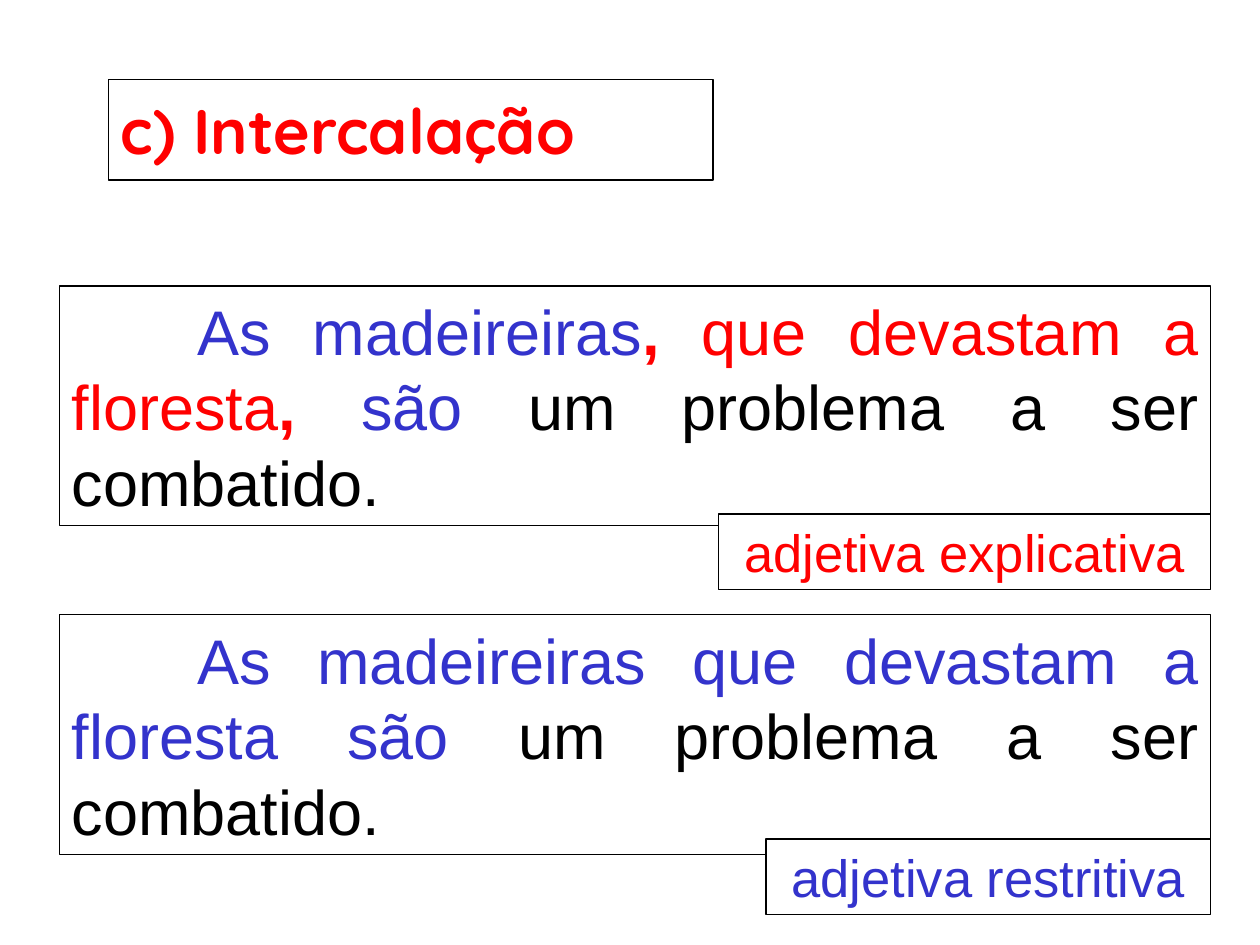
from dataclasses import dataclass

from lxml import etree
from pptx import Presentation
from pptx import util as u
from pptx.dml.color import RGBColor
from pptx.enum import shapes, text
from pptx.oxml import ns


@dataclass(frozen=True)
class Theme:
    paper: str = "FFFFFF"
    ink: str = "000000"
    red: str = "FF0000"
    blue: str = "3333CC"
    title_font: str = "Quicksand"
    body_font: str = "Arial"
    big: int = 36
    small: int = 30
    border: float = 0.75


THEME = Theme()
COLUMNS, ROWS = 100, 75
LEFT, RIGHT = 4.7, 96.1
SENTENCE_ROWS, LABEL_ROWS = 19, 6
FIRST_LINE_TAB = u.Inches(1)


def place(sp, prs, box):
    """Set a shape on the slide grid; box is column, row, columns, rows."""
    cell_w, cell_h = prs.slide_width / COLUMNS, prs.slide_height / ROWS
    x, y, w, h = box
    sp.left, sp.width = round(x * cell_w), round(w * cell_w)
    sp.top, sp.height = round(y * cell_h), round(h * cell_h)


def frame(sp):
    sp.fill.solid()
    sp.fill.fore_color.rgb = RGBColor.from_string(THEME.paper)
    sp.line.color.rgb = RGBColor.from_string(THEME.ink)
    sp.line.width = u.Pt(THEME.border)


def style(r, color, size, font=THEME.body_font, bold=False):
    r.font.name, r.font.size, r.font.bold = font, u.Pt(size), bold
    r.font.color.rgb = RGBColor.from_string(color)


def add_tab_stop(p, position):
    tabs = etree.SubElement(p._p.get_or_add_pPr(), ns.qn("a:tabLst"))
    etree.SubElement(tabs, ns.qn("a:tab"), pos=str(int(position)), algn="l")


def add_title(prs, slide, box, title):
    sp = slide.shapes.title
    place(sp, prs, box)
    frame(sp)
    tf = sp.text_frame
    tf.text = title
    tf.vertical_anchor = text.MSO_ANCHOR.MIDDLE
    p = tf.paragraphs[0]
    p.alignment = text.PP_ALIGN.LEFT
    style(p.runs[0], THEME.red, THEME.big, THEME.title_font, bold=True)


def add_box(prs, slide, box, align):
    """Add a framed box and return its first paragraph."""
    sp = slide.shapes.add_shape(shapes.MSO_SHAPE.RECTANGLE, 0, 0, 0, 0)
    sp.shadow.inherit = False
    place(sp, prs, box)
    frame(sp)
    tf = sp.text_frame
    tf.word_wrap = True
    tf.vertical_anchor = text.MSO_ANCHOR.TOP
    p = tf.paragraphs[0]
    p.alignment = align
    return p


def add_sentence(prs, slide, row, clause_color, separator):
    """Add the sentence with its clause set off by the given separator."""
    box = (LEFT, row, RIGHT - LEFT, SENTENCE_ROWS)
    p = add_box(prs, slide, box, text.PP_ALIGN.JUSTIFY)
    p.space_before = u.Pt(22.5)
    add_tab_stop(p, FIRST_LINE_TAB)
    pause = (separator, clause_color, True)
    parts = [
        ("\t", THEME.ink, False),
        ("As madeireiras", THEME.blue, False),
        pause,
        ("que devastam a floresta", clause_color, False),
        pause,
        ("são", THEME.blue, False),
        (" um problema a ser combatido.", THEME.ink, False),
    ]
    for words, color, bold in parts:
        r = p.add_run()
        r.text = words
        style(r, color, THEME.big, bold=bold)


def add_label(prs, slide, row, width, words, color):
    """Add a clause label flush with the right edge of the sentences."""
    box = (RIGHT - width, row, width, LABEL_ROWS)
    p = add_box(prs, slide, box, text.PP_ALIGN.CENTER)
    r = p.add_run()
    r.text = words
    style(r, color, THEME.small)


def main():
    prs = Presentation()
    prs.slide_width, prs.slide_height = u.Inches(10), u.Inches(7.5)
    slide = prs.slides.add_slide(prs.slide_layouts[5])
    add_title(prs, slide, (8.6, 6.3, 48, 8), "c) Intercalação")
    add_sentence(prs, slide, 22.7, THEME.red, ", ")
    add_sentence(prs, slide, 48.8, THEME.blue, " ")
    add_label(prs, slide, 40.8, 39.1, "adjetiva explicativa", THEME.red)
    add_label(prs, slide, 66.6, 35.3, "adjetiva restritiva", THEME.blue)
    prs.save("out.pptx")


if __name__ == "__main__":
    main()
